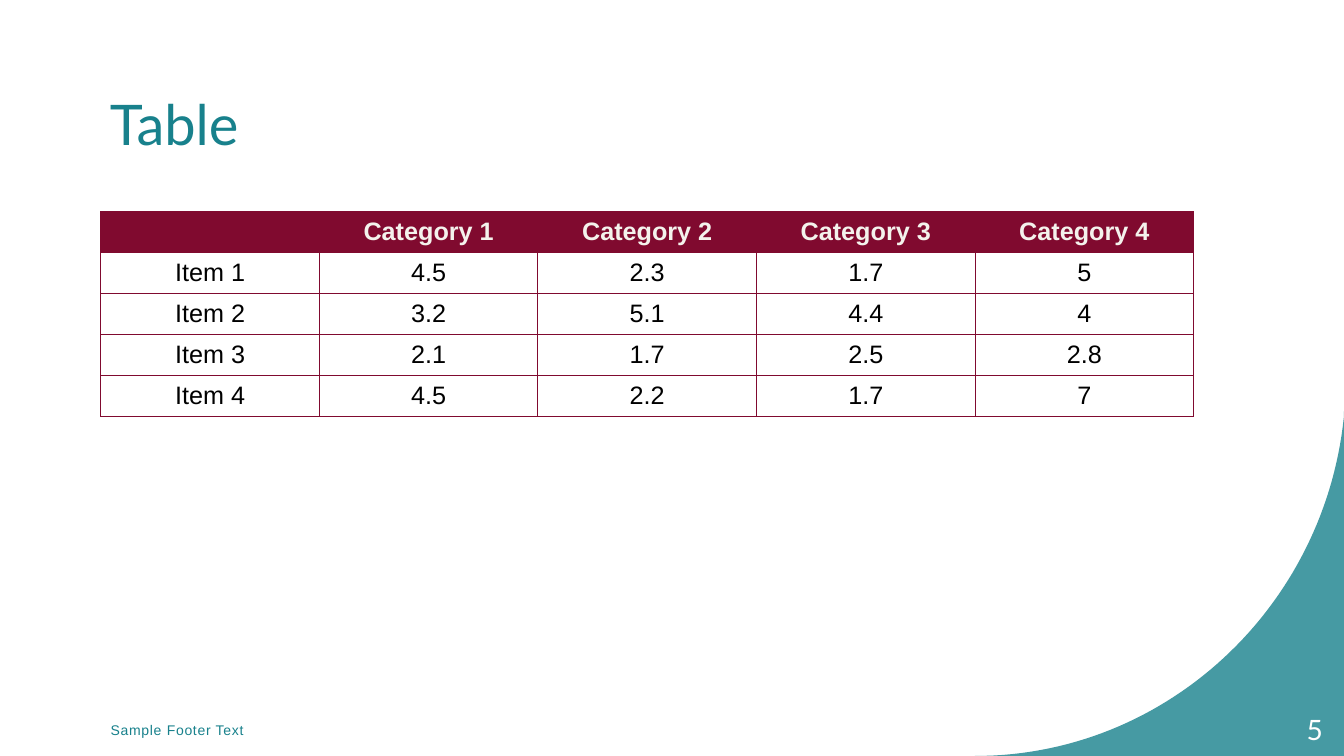
from lxml import etree
from pptx import Presentation
from pptx.dml.color import RGBColor
from pptx.enum.text import MSO_ANCHOR, MSO_AUTO_SIZE, PP_ALIGN
from pptx.oxml.ns import qn
from pptx.util import Inches, Pt

LEFT, CENTER, RIGHT = PP_ALIGN.LEFT, PP_ALIGN.CENTER, PP_ALIGN.RIGHT
MIDDLE = MSO_ANCHOR.MIDDLE
NO_FIT = MSO_AUTO_SIZE.NONE
TEAL, MAROON, CREAM, WHITE, BLACK = "18818C", "800A2F", "F4F2EC", "FFFFFF", "000000"


def color(value):
    return RGBColor.from_string(value)


def write(frame, text, size=18, font="Arial", fill=BLACK, bold=False, align=LEFT, spacing=0):
    paragraph = frame.paragraphs[0]
    paragraph.alignment = align
    run = paragraph.add_run()
    run.text = text
    run.font.size = Pt(size)
    run.font.name = font
    run.font.bold = bold
    run.font.color.rgb = color(fill)
    if spacing:
        run.font._element.set("spc", str(spacing))


prs = Presentation()
prs.slide_width, prs.slide_height = Inches(13.33), Inches(7.5)
slide = prs.slides.add_slide(prs.slide_layouts[5])

curve = [(9.67, 7.5), (11.57, 7.5), (13.14, 6.02), (13.33, 4.13)]
steps = 60
outline = []
for step in range(steps + 1):
    t = step / steps
    weights = [(1 - t) ** 3, 3 * t * (1 - t) ** 2, 3 * t ** 2 * (1 - t), t ** 3]
    outline.append([sum(w * point[axis] for w, point in zip(weights, curve)) for axis in (0, 1)])
outline += [(13.33, 4.08), (13.33, 7.5)]
outline = [(Inches(x), Inches(y)) for x, y in outline]
builder = slide.shapes.build_freeform(*outline[0])
builder.add_line_segments(outline[1:], close=True)
corner = builder.convert_to_shape()
corner.shadow.inherit = False
corner.line.fill.background()
corner.fill.solid()
corner.fill.fore_color.rgb = color(TEAL)
corner_color = corner._element.spPr.find(qn("a:solidFill"))[0]
etree.SubElement(corner_color, qn("a:alpha"), val="80000")

title = slide.shapes.title
title.left, title.top, title.width, title.height = map(Inches, (0.99, 0.5, 10.84, 1.45))
title.text_frame.auto_size = NO_FIT
title.text_frame.vertical_anchor = MIDDLE
write(title.text_frame, "Table", size=40, font="Lato", fill=TEAL)

rows = [
    ["", "Category 1", "Category 2", "Category 3", "Category 4"],
    ["Item 1", "4.5", "2.3", "1.7", "5"],
    ["Item 2", "3.2", "5.1", "4.4", "4"],
    ["Item 3", "2.1", "1.7", "2.5", "2.8"],
    ["Item 4", "4.5", "2.2", "1.7", "7"],
]
scores = slide.shapes.add_table(
    len(rows), len(rows[0]), Inches(1), Inches(2.1), Inches(10.84), Inches(2.03)
).table
scores.first_row = False
scores.horz_banding = False
for row_index, row in enumerate(rows):
    is_header = row_index == 0
    for column_index, value in enumerate(row):
        cell = scores.cell(row_index, column_index)
        cell.vertical_anchor = MIDDLE
        if is_header:
            cell.fill.solid()
            cell.fill.fore_color.rgb = color(MAROON)
        else:
            cell.fill.background()
        if value:
            write(cell.text_frame, value, fill=CREAM if is_header else BLACK,
                  bold=is_header, align=CENTER)
        properties = cell._tc.get_or_add_tcPr()
        for position, side in enumerate(("lnL", "lnR", "lnT", "lnB")):
            border = etree.Element(qn(f"a:{side}"), w=str(Pt(0.75)))
            border_fill = etree.SubElement(border, qn("a:solidFill"))
            etree.SubElement(border_fill, qn("a:srgbClr"), val=MAROON)
            properties.insert(position, border)

footers = [
    (1, 4.13, "Sample Footer Text", dict(size=10, fill=TEAL, spacing=50)),
    (12.46, 0.76, "5", dict(size=20, font="Lato", fill=WHITE, align=RIGHT)),
]
for left, width, text, style in footers:
    frame = slide.shapes.add_textbox(
        Inches(left), Inches(7.04), Inches(width), Inches(0.4)
    ).text_frame
    frame.word_wrap = True
    frame.auto_size = NO_FIT
    frame.vertical_anchor = MIDDLE
    write(frame, text, **style)

prs.save("out.pptx")
